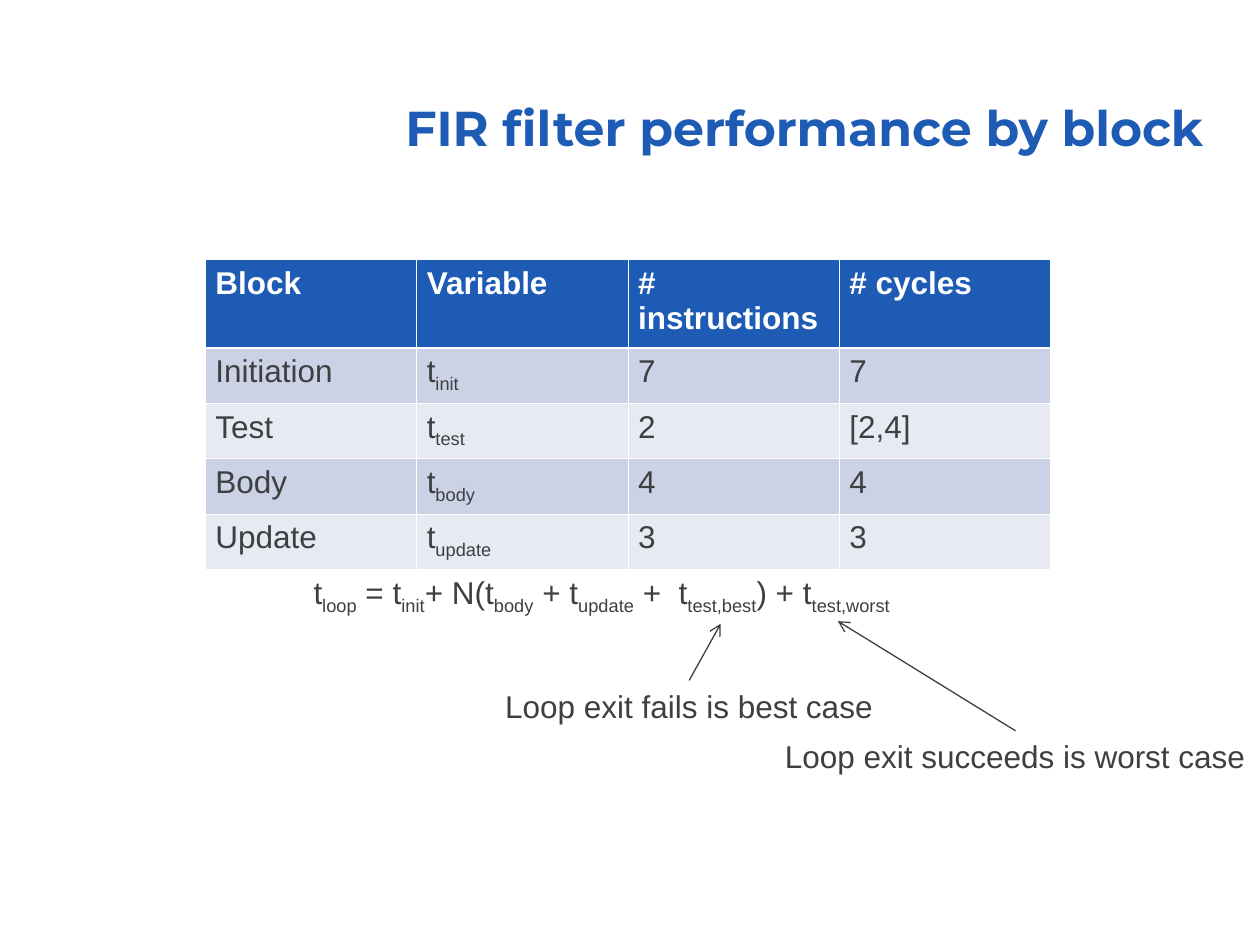
import dataclasses

import lxml.etree
import pptx
import pptx.dml.color
import pptx.enum.shapes
import pptx.enum.text
import pptx.oxml.ns
import pptx.util

Inches = pptx.util.Inches
Pt = pptx.util.Pt
qn = pptx.oxml.ns.qn


@dataclasses.dataclass(frozen=True)
class Theme:
    blue: str = "1E5BB4"
    ink: str = "3D3F41"
    white: str = "FFFFFF"
    bands: tuple = ("CCD2E5", "E7EAF2")
    head: str = "Montserrat"
    body: str = "Arial"
    big: int = 28
    text: int = 18
    thin: float = 0.45
    thick: float = 1.47
    arrow: float = 0.75


THEME = Theme()

# In all texts, parts between bars are subscripts
ROWS = [
    ("Block", "Variable", "# instructions", "# cycles"),
    ("Initiation", "t|init|", "7", "7"),
    ("Test", "t|test|", "2", "[2,4]"),
    ("Body", "t|body|", "4", "4"),
    ("Update", "t|update|", "3", "3"),
]
LOOP = ("t|loop| = t|init|+ N(t|body| + t|update| +  t|test,best|"
        ") + t|test,worst|")


def color(code):
    return pptx.dml.color.RGBColor.from_string(code)


def write(frame, text, size=THEME.text, font=THEME.body, ink=THEME.ink,
          bold=False, align=pptx.enum.text.PP_ALIGN.LEFT, space=None):
    para = frame.paragraphs[0]
    para.alignment = align
    para.line_spacing = space
    for i, part in enumerate(text.split("|")):
        if not part:
            continue
        run = para.add_run()
        run.text = part
        run.font.size = Pt(size)
        run.font.name = font
        run.font.bold = bold
        run.font.color.rgb = color(ink)
        if i % 2:
            run.font._element.set("baseline", "-25000")


def add_title(slide, text):
    title = slide.shapes.title
    title.left, title.top = Inches(2.94), Inches(0.53)
    title.width, title.height = Inches(6.71), Inches(0.77)
    frame = title.text_frame
    frame.auto_size = pptx.enum.text.MSO_AUTO_SIZE.NONE
    frame.vertical_anchor = pptx.enum.text.MSO_ANCHOR.BOTTOM
    write(frame, text, size=THEME.big, font=THEME.head, ink=THEME.blue,
          bold=True, align=pptx.enum.text.PP_ALIGN.RIGHT, space=0.9)


def add_edge(cell, side, width):
    props = cell._tc.get_or_add_tcPr()
    line = lxml.etree.SubElement(props, qn("a:ln" + side), w=str(Pt(width)))
    fill = lxml.etree.SubElement(line, qn("a:solidFill"))
    lxml.etree.SubElement(fill, qn("a:srgbClr"), val=THEME.white)


def add_grid(slide, rows, left, top, width):
    high = [0.7] + [0.44] * (len(rows) - 1)
    table = slide.shapes.add_table(
        len(rows), len(rows[0]), Inches(left), Inches(top),
        Inches(width), Inches(sum(high))).table
    for r, row in enumerate(rows):
        table.rows[r].height = Inches(high[r])
        first = r == 0
        edges = {"L": THEME.thin, "R": THEME.thin,
                 "T": THEME.thick if r == 1 else THEME.thin,
                 "B": THEME.thick if first else THEME.thin}
        for c, text in enumerate(row):
            cell = table.cell(r, c)
            cell.margin_left = cell.margin_right = Inches(0.08)
            for side, size in edges.items():
                add_edge(cell, side, size)
            cell.fill.solid()
            cell.fill.fore_color.rgb = color(
                THEME.blue if first else THEME.bands[(r - 1) % 2])
            write(cell.text_frame, text, bold=first,
                  ink=THEME.white if first else THEME.ink)


def add_label(slide, text, left, top, width, height=0.4):
    box = slide.shapes.add_textbox(
        Inches(left), Inches(top), Inches(width), Inches(height))
    frame = box.text_frame
    frame.word_wrap = True
    frame.auto_size = pptx.enum.text.MSO_AUTO_SIZE.NONE
    # Room on the right keeps the text on one line
    frame.margin_right = 0
    write(frame, text)


def add_arrow(slide, start, end):
    arrow = slide.shapes.add_connector(
        pptx.enum.shapes.MSO_CONNECTOR.STRAIGHT,
        *(Inches(n) for n in start + end))
    arrow.line.color.rgb = color(THEME.ink)
    arrow.line.width = Pt(THEME.arrow)
    line = arrow.line._get_or_add_ln()
    lxml.etree.SubElement(line, qn("a:tailEnd"), type="arrow")
    lxml.etree.SubElement(arrow._element.spPr, qn("a:effectLst"))


def main():
    deck = pptx.Presentation()
    deck.slide_width, deck.slide_height = Inches(10), Inches(7.5)
    slide = deck.slides.add_slide(deck.slide_layouts[5])

    # Title and table
    add_title(slide, "FIR filter performance by block")
    add_grid(slide, ROWS, 1.63, 2.06, 6.71)

    # Formula with its two notes
    add_label(slide, LOOP, 2.39, 4.5, 4.77, 0.44)
    add_arrow(slide, (5.47, 5.4), (5.72, 4.95))
    add_arrow(slide, (8.06, 5.8), (6.65, 4.93))
    add_label(slide, "Loop exit succeeds is worst case", 6.13, 5.8, 3.85)
    add_label(slide, "Loop exit fails is best case", 3.91, 5.4, 3.12)

    deck.save("out.pptx")


if __name__ == "__main__":
    main()
